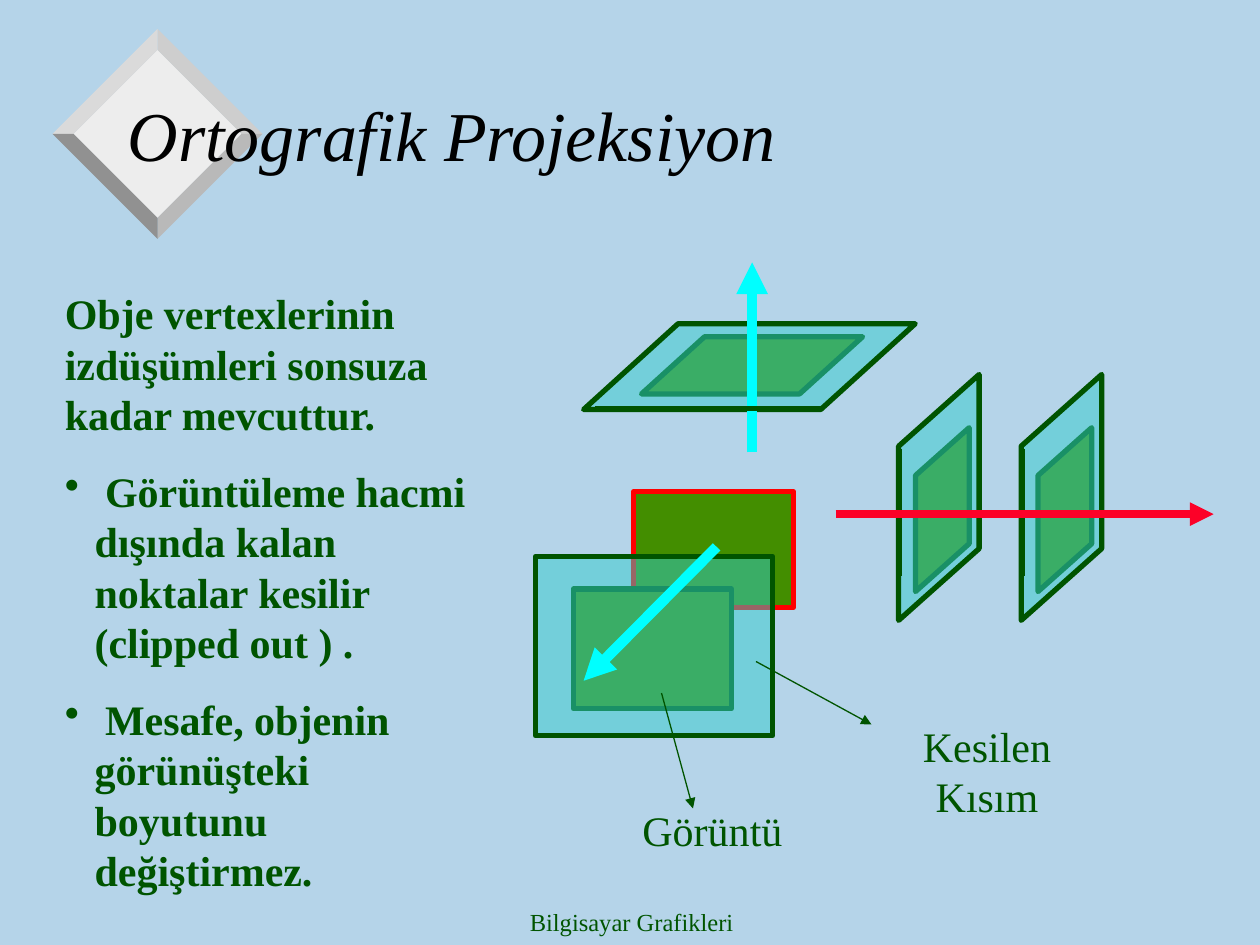
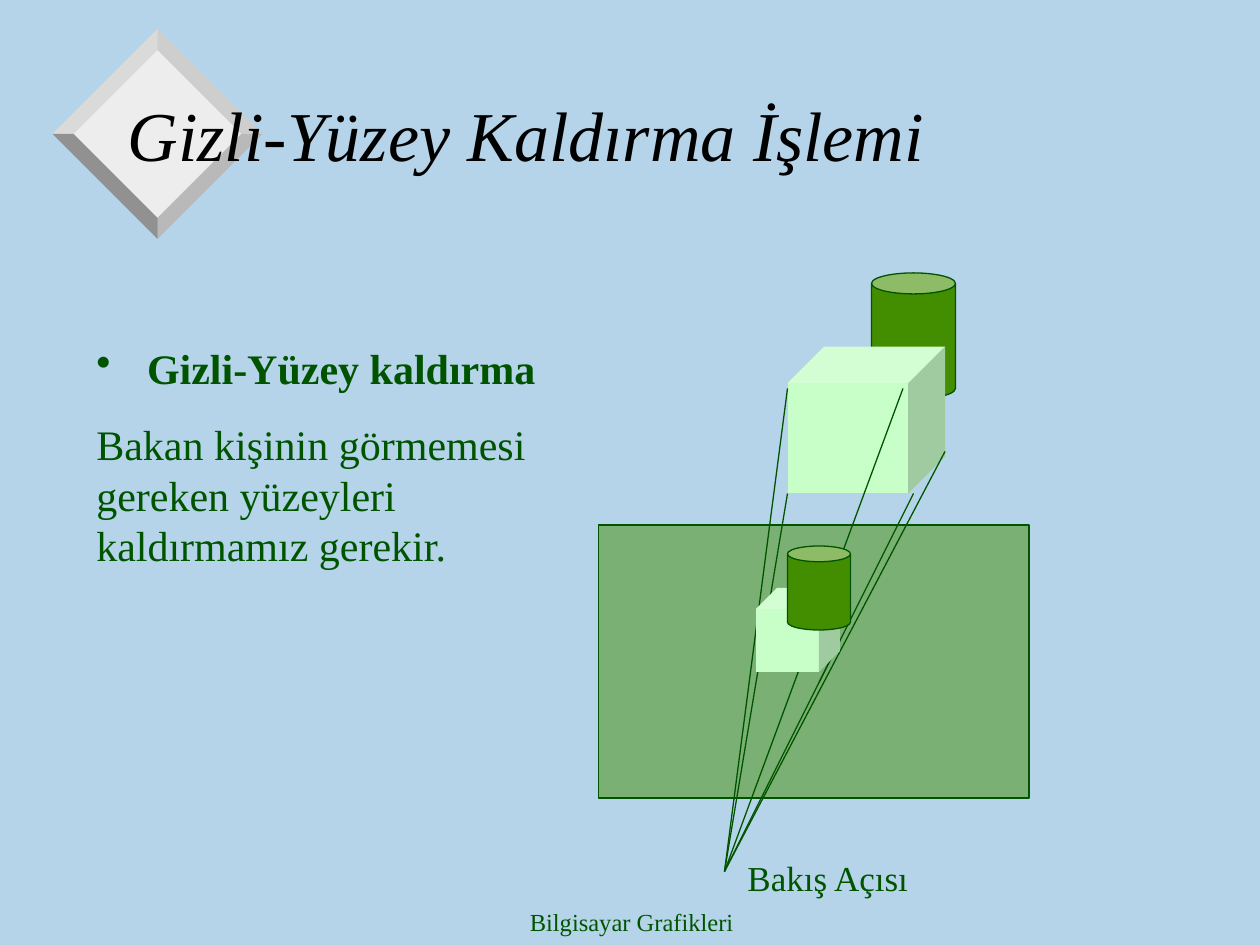
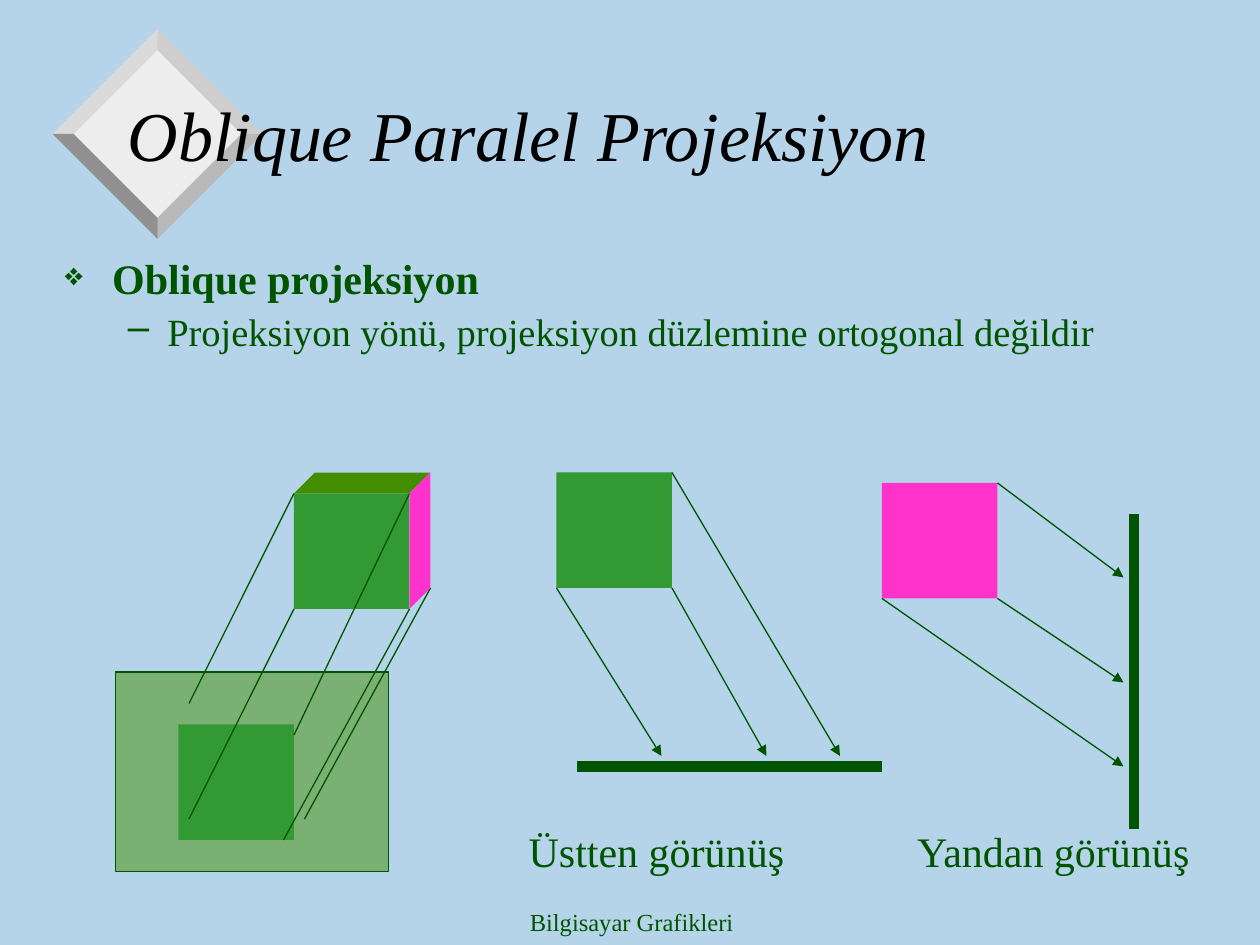
from lxml import etree
from pptx import Presentation
from pptx.dml.color import RGBColor
from pptx.enum import shapes, text
from pptx.oxml import ns
from pptx.util import Pt

INK, SKY, MOSS, LEAF = "005400", "B5D4E9", "438E00", "339933"
TEAL, CYAN, PINK, MINT = "33CCCC", "00FFFF", "FF33CC", "C8FEC8"
RED, ROSE, BLACK = "FF0000", "FC0128", "000000"
FACE = "Times New Roman"
FORM = shapes.MSO_SHAPE
MID = text.PP_ALIGN.CENTER


def hue(code):
    return RGBColor.from_string(code)


def node(parent, tag, **attrs):
    return etree.SubElement(parent, ns.qn(tag), attrs)


def apply(target, values):
    for name, value in values.items():
        setattr(target, name, value)


def paint(shape, fill, line=None, width=0.75, alpha=None):
    shape.shadow.inherit = False
    shape.fill.solid()
    shape.fill.fore_color.rgb = hue(fill)
    if alpha:
        color = shape.fill._xPr.find(".//" + ns.qn("a:srgbClr"))
        node(color, "a:alpha", val=str(alpha * 1000))
    if line:
        shape.line.color.rgb = hue(line)
        shape.line.width = Pt(width)
    else:
        shape.line.fill.background()


def block(slide, kind, box, fill, **style):
    shape = slide.shapes.add_shape(kind, *map(Pt, box))
    paint(shape, fill, **style)


def poly(slide, points, fill, **style):
    spots = [(Pt(x), Pt(y)) for x, y in points]
    pen = slide.shapes.build_freeform(*spots[0], scale=1.0)
    pen.add_line_segments(spots[1:], close=True)
    paint(pen.convert_to_shape(), fill, **style)


def shift(points, x, y):
    return [(x + a, y + b) for a, b in points]


def link(slide, ends, x=0, y=0, color=INK, width=0.75, arrow=False):
    (a, b), (c, d) = shift(ends, x, y)
    wire = slide.shapes.add_connector(
        shapes.MSO_CONNECTOR.STRAIGHT, Pt(a), Pt(b), Pt(c), Pt(d))
    wire.line.color.rgb = hue(color)
    wire.line.width = Pt(width)
    if arrow:
        node(wire.line._get_or_add_ln(), "a:tailEnd", type="triangle")
    node(wire._element.spPr, "a:effectLst")


def bullet(para, mark, left, hang, size=100):
    props = para._p.get_or_add_pPr()
    props.set("marL", str(Pt(left)))
    props.set("indent", str(-Pt(hang)))
    node(node(props, "a:buClr"), "a:srgbClr", val=INK)
    node(props, "a:buSzPct", val=str(size * 1000))
    node(props, "a:buChar", char=mark)


def write(slide, box, rows, color=INK, anchor=text.MSO_ANCHOR.TOP):
    frame = slide.shapes.add_textbox(*map(Pt, box)).text_frame
    apply(frame, {"word_wrap": True, "vertical_anchor": anchor})
    for i, (words, font, layout, mark) in enumerate(rows):
        para = frame.add_paragraph() if i else frame.paragraphs[0]
        if mark:
            bullet(para, *mark)
        apply(para, layout)
        run = para.add_run()
        run.text = words
        apply(run.font, {"name": FACE, "size": Pt(24), **font})
        run.font.color.rgb = hue(color)


def label(slide, box, words, size=24, **layout):
    write(slide, box, [(words, {"size": Pt(size)}, layout, None)])


def gem(slide, x, y, size):
    half, rim = size / 2, size / 10
    cx, cy, core = x + half, y + half, half - rim
    poly(slide, [(cx, cy - core), (cx - core, cy), (cx, cy + core),
                 (cx + core, cy)], "EDEDED")
    for sx, sy, tone in ((1, -1, "CECECE"), (-1, -1, "DADADA"),
                         (1, 1, "B9B9B9"), (-1, 1, "919191")):
        poly(slide, [(cx, cy + sy * core), (cx, cy + sy * half),
                     (cx + sx * half, cy), (cx + sx * core, cy)], tone)


def base(deck, title):
    slide = deck.slides.add_slide(deck.slide_layouts[6])
    slide.background.fill.solid()
    slide.background.fill.fore_color.rgb = hue(SKY)
    gem(slide, 30, 16.5, 120)
    label(slide, (247, 515, 228, 25), "Bilgisayar Grafikleri", 14,
          alignment=MID)
    write(slide, (66, 33, 612, 87),
          [(title, {"size": Pt(40), "italic": True}, {}, None)],
          BLACK, text.MSO_ANCHOR.MIDDLE)
    return slide


def pane(slide, x, y, outer, dx, dy):
    outer = shift(outer, x, y)
    mx, my = (sum(axis) / 4 for axis in zip(*outer))
    inner = [(mx + dx + (a - mx) * 2 / 3, my + dy + (b - my) * 2 / 3)
             for a, b in outer]
    poly(slide, inner, MOSS, line=INK, width=3)
    poly(slide, outer, TEAL, line=INK, width=3, alpha=50)


def planes(slide, x, y):
    block(slide, FORM.RECTANGLE, (x + 56, y + 131, 91.5, 66), MOSS,
          line=RED, width=3)
    pane(slide, x, y + 168,
         [(0, 102.5), (0, 0), (135.5, 0), (135.5, 102.5)], -1, 1.5)
    pane(slide, x + 27.5, y + 35,
         [(0, 49), (135.5, 49), (189.5, 0), (54, 0)], 1.5, -0.7)
    for ends in (((103.5, 162.5), (27.5, 239)), ((123.8, 108.5), (123.8, 0))):
        link(slide, ends, x, y, CYAN, 6, True)
    link(slide, ((34, 83.3), (164, 83.3)), x, y, width=3)
    for left in (x + 207.5, x + 277.5):
        pane(slide, left, y + 64,
             [(0, 41), (46, 0), (46, 99.5), (0, 140.5)], 2, 7)
        link(slide, ((0.7, 42.5), (0.7, 115)), left, y + 64, width=3)
    link(slide, ((171.5, 143.8), (387.5, 143.8)), x, y, ROSE, 4.5, True)


def ortho(deck):
    slide = base(deck, "Ortografik Projeksiyon")
    bold, gap, dot = {"bold": True}, {"space_before": Pt(15)}, ("•", 17, 17)
    write(slide, (30, 161, 246, 325), [
        ("Obje vertexlerinin izdüşümleri sonsuza kadar mevcuttur.",
         bold, {}, None),
        (" Görüntüleme hacmi dışında kalan noktalar kesilir (clipped out ) .",
         bold, gap, dot),
        (" Mesafe, objenin görünüşteki boyutunu değiştirmez.",
         bold, gap, dot)])
    planes(slide, 306, 150)
    label(slide, (498, 408, 132, 65), "Kesilen Kısım", alignment=MID)
    link(slide, ((432, 378), (498, 414)), arrow=True)
    label(slide, (360, 456, 126, 36), "Görüntü")
    link(slide, ((378, 396), (396, 462)), arrow=True)


def scene(slide, x, y):
    block(slide, FORM.CAN, (x + 156, y, 48, 72), MOSS, line=INK)
    block(slide, FORM.CUBE, (x + 108, y + 42, 90, 84), MINT)
    block(slide, FORM.RECTANGLE, (x, y + 144, 246, 156), MOSS,
          line=INK, alpha=50)
    for spot in ((108, 66), (174, 66), (108, 126), (180, 126), (198, 102)):
        link(slide, ((72, 342), spot), x, y)
    link(slide, ((138, 210), (126, 234)), x, y)
    block(slide, FORM.CUBE, (x + 90, y + 180, 48, 48), MINT)
    block(slide, FORM.CAN, (x + 108, y + 156, 36, 48), MOSS, line=INK)


def hidden(deck):
    slide = base(deck, "Gizli-Yüzey Kaldırma İşlemi")
    scene(slide, 342, 156)
    write(slide, (48, 192, 288, 137), [
        ("Gizli-Yüzey kaldırma", {"bold": True}, {}, ("•", 29, 29)),
        ("Bakan kişinin görmemesi gereken yüzeyleri kaldırmamız gerekir.",
         {}, {"space_before": Pt(15)}, None)])
    label(slide, (420, 486, 120, 32), "Bakış Açısı", 20)


def solid(slide, x, y):
    block(slide, FORM.RECTANGLE, (x, y + 114, 156, 114), MOSS,
          line=INK, alpha=50)
    for left, top in ((102, 12), (36, 144)):
        block(slide, FORM.RECTANGLE, (x + left, y + top, 66, 66), LEAF)
    for ends in (((102, 78), (42, 198)), ((168, 78), (96, 210)),
                 ((168, 12), (102, 150)), ((102, 12), (42, 132)),
                 ((180, 66), (108, 198))):
        link(slide, ends, x, y)
    poly(slide, shift([(102, 12), (168, 12), (180, 0), (114, 0)], x, y), MOSS)
    poly(slide, shift([(168, 12), (168, 78), (180, 66), (180, 0)], x, y), PINK)


def view(slide, x, y, fill, bar, rays):
    block(slide, FORM.RECTANGLE, (x, y, 66, 66), fill)
    link(slide, bar, x, y, width=6)
    for ends in rays:
        link(slide, ends, x, y, arrow=True)


def oblique(deck):
    slide = base(deck, "Oblique Paralel Projeksiyon")
    write(slide, (30, 144, 666, 114), [
        ("Oblique projeksiyon", {"bold": True}, {"line_spacing": 0.9},
         ("❖", 27, 27, 75)),
        ("Projeksiyon yönü, projeksiyon düzlemine ortogonal değildir",
         {"size": Pt(22)}, {"line_spacing": 0.9, "space_before": Pt(5.5)},
         ("–", 58.5, 22.5))])
    solid(slide, 66, 270)
    view(slide, 318, 270, LEAF, ((12, 168), (186, 168)),
         (((0, 66), (60, 162)), ((66, 66), (120, 162)), ((66, 0), (162, 162))))
    label(slide, (295, 468, 166, 36), "Üstten görünüş")
    view(slide, 504, 276, PINK, ((144, 18), (144, 198)),
         (((66, 0), (138, 54)), ((66, 66), (138, 114)), ((0, 66), (138, 162))))
    label(slide, (517, 468, 173, 36), "Yandan görünüş")


def main():
    deck = Presentation()
    apply(deck, {"slide_width": Pt(720), "slide_height": Pt(540)})
    for make in (ortho, hidden, oblique):
        make(deck)
    deck.save("out.pptx")


if __name__ == "__main__":
    main()
